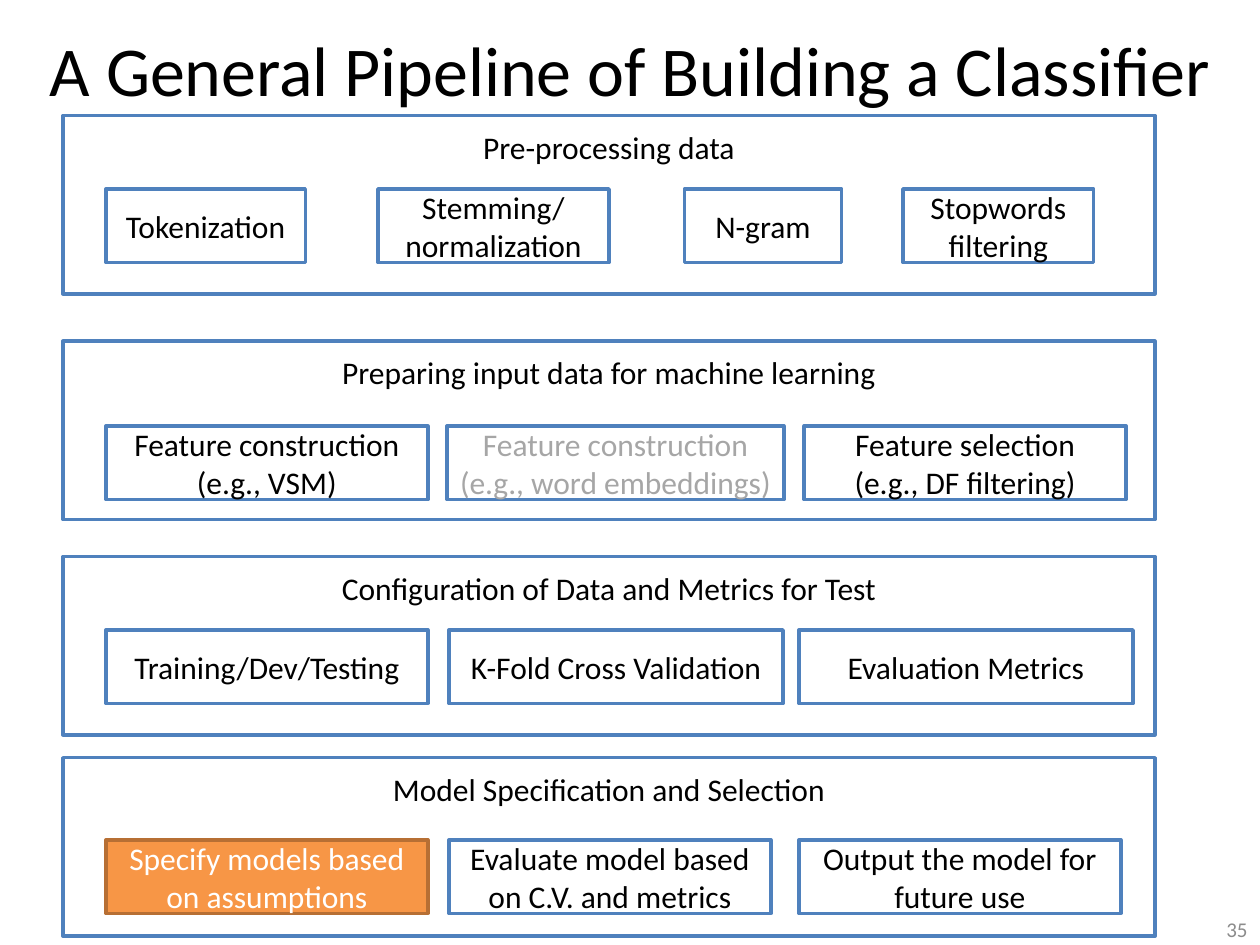
import dataclasses
import pptx
import pptx.util
import pptx.dml.color
import pptx.enum.shapes
import pptx.enum.text

Pt = pptx.util.Pt
Align = pptx.enum.text.PP_ALIGN
Anchor = pptx.enum.text.MSO_ANCHOR


@dataclasses.dataclass(frozen=True)
class Theme:
    font: str = "Calibri"
    ink: str = "000000"
    paper: str = "FFFFFF"
    line: str = "4F81BD"
    muted: str = "A6A6A6"
    page: str = "8C8C8C"
    accent: str = "F79646"
    edge: str = "B76F34"
    title: int = 40
    body: int = 18
    small: int = 12
    stroke: int = 2


THEME = Theme()
PLAIN = (THEME.paper, THEME.line, THEME.ink)
FADED = (THEME.paper, THEME.line, THEME.muted)
ACTIVE = (THEME.accent, THEME.edge, THEME.paper)


def paint(code):
    return pptx.dml.color.RGBColor.from_string(code)


def write(shape, text, size, color, align=Align.CENTER, anchor=Anchor.MIDDLE):
    frame = shape.text_frame
    frame.word_wrap = True
    frame.vertical_anchor = anchor
    for index, line in enumerate(text.split("\n")):
        para = frame.add_paragraph() if index else frame.paragraphs[0]
        para.alignment = align
        run = para.add_run()
        run.text = line
        run.font.name = THEME.font
        run.font.size = Pt(size)
        run.font.color.rgb = paint(color)


def label(slide, box, text, size, color, align):
    shape = slide.shapes.add_textbox(*map(Pt, box))
    write(shape, text, size, color, align)


def block(slide, box, text, style=PLAIN, anchor=Anchor.MIDDLE):
    fill, edge, ink = style
    kind = pptx.enum.shapes.MSO_SHAPE.RECTANGLE
    shape = slide.shapes.add_shape(kind, *map(Pt, box))
    shape.shadow.inherit = False
    shape.fill.solid()
    shape.fill.fore_color.rgb = paint(fill)
    shape.line.color.rgb = paint(edge)
    shape.line.width = Pt(THEME.stroke)
    write(shape, text, THEME.body, ink, anchor=anchor)
    return shape


def stage(slide, box, heading, drop, steps):
    left, top, _, _ = box
    panel = block(slide, box, heading, anchor=Anchor.TOP)
    panel.text_frame.margin_top = Pt(7)
    for shift, width, text, style in steps:
        block(slide, (left + shift, top + drop, width, 42), text, style)


STAGES = [
    (66, "Pre-processing data", 42, [
        (24.5, 114, "Tokenization", PLAIN),
        (180, 132, "Stemming/\nnormalization", PLAIN),
        (355, 90, "N-gram", PLAIN),
        (480, 109, "Stopwords filtering", PLAIN),
    ]),
    (195, "Preparing input data for machine learning", 48.5, [
        (24.5, 184, "Feature construction (e.g., VSM)", PLAIN),
        (219.5, 192.5, "Feature construction (e.g., word embeddings)", FADED),
        (423.5, 184, "Feature selection\n(e.g., DF filtering)", PLAIN),
    ]),
    (318, "Configuration of Data and Metrics for Test", 42, [
        (24.5, 184, "Training/Dev/Testing", PLAIN),
        (220.5, 191, "K-Fold Cross Validation", PLAIN),
        (420.5, 191, "Evaluation Metrics", PLAIN),
    ]),
    (433, "Model Specification and Selection", 47, [
        (24.5, 184, "Specify models based on assumptions", ACTIVE),
        (220.5, 184, "Evaluate model based on C.V. and metrics", PLAIN),
        (420.5, 184, "Output the model for future use", PLAIN),
    ]),
]


def main():
    deck = pptx.Presentation()
    deck.slide_width, deck.slide_height = Pt(720), Pt(540)
    slide = deck.slides.add_slide(deck.slide_layouts[6])
    label(slide, (0, 0, 720, 78), "A General Pipeline of Building a Classifier",
          THEME.title, THEME.ink, Align.CENTER)
    label(slide, (552, 522, 168, 18), "35", THEME.small, THEME.page, Align.RIGHT)
    for top, heading, drop, steps in STAGES:
        stage(slide, (36, top, 624, 102), heading, drop, steps)
    deck.save("out.pptx")


if __name__ == "__main__":
    main()
